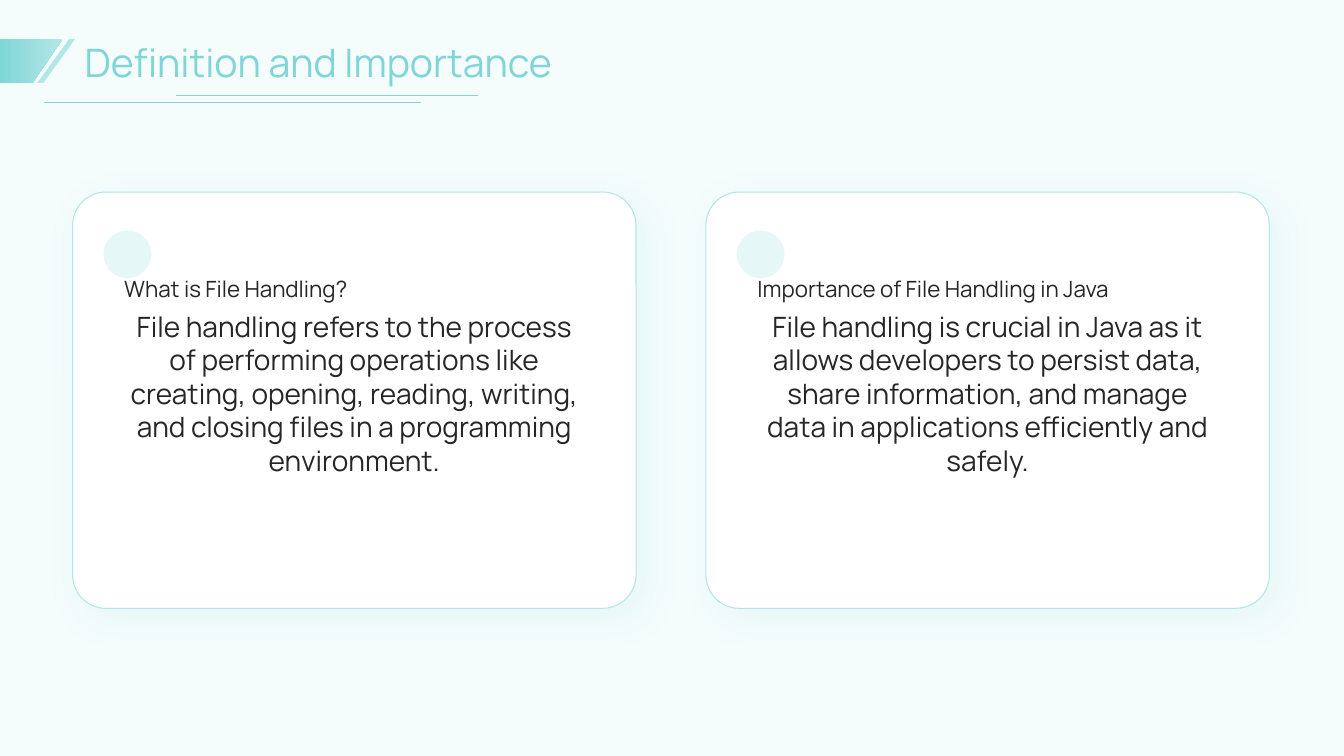
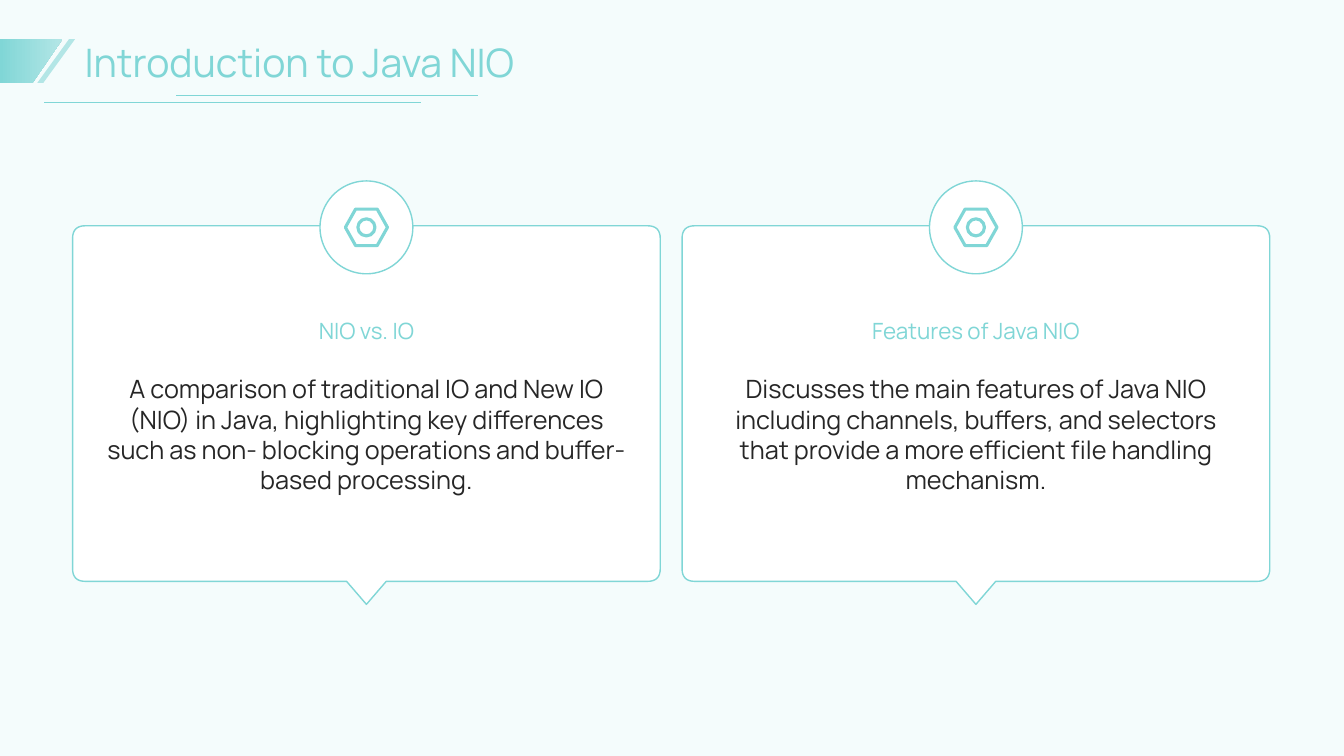
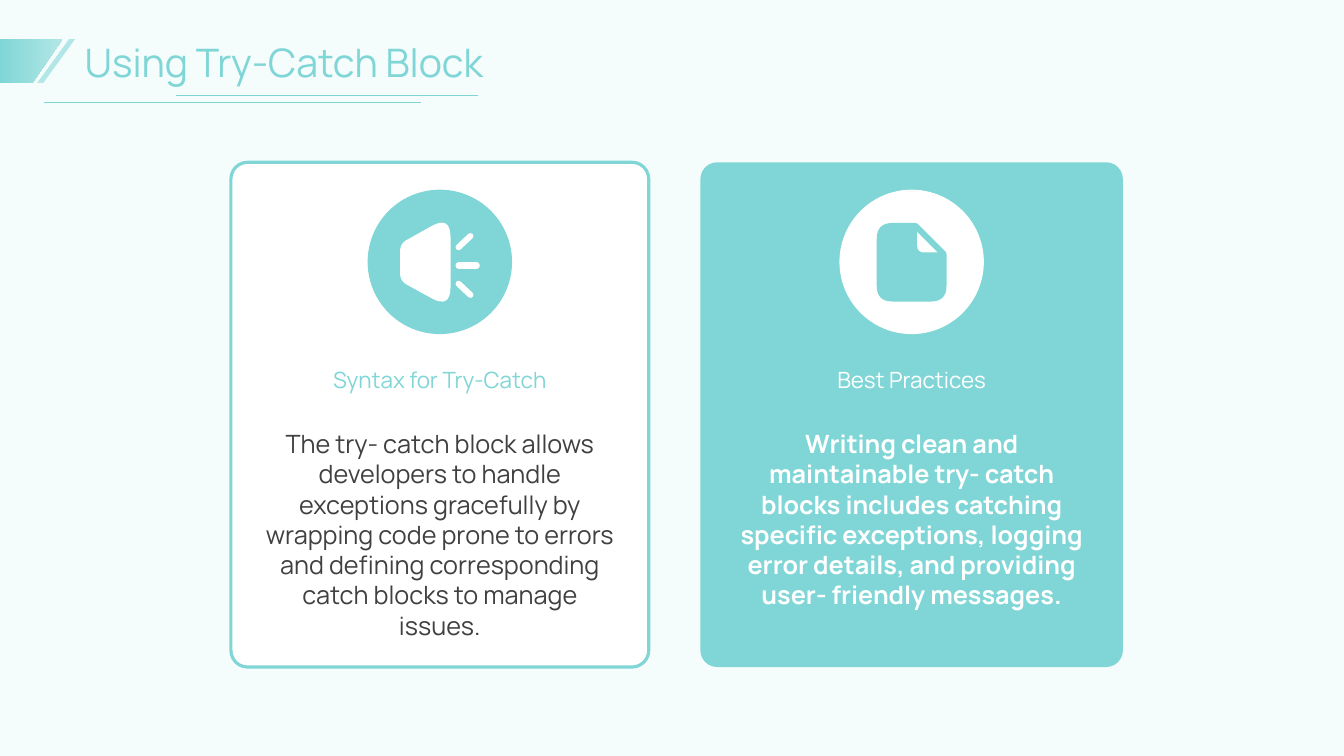
"""Build three slides on Java file handling with a shared title band."""
from lxml.etree import SubElement
from math import hypot
from pptx import Presentation
from pptx.dml.color import RGBColor
from pptx.enum.shapes import MSO_CONNECTOR, MSO_SHAPE
from pptx.enum.text import MSO_ANCHOR, MSO_AUTO_SIZE, PP_ALIGN
from pptx.oxml.ns import qn
from pptx.util import Cm, Pt

FONT = "Manrope"
COLORS = {
    "page": "F4FCFC",
    "mist": "E6F7F7",
    "pale": "B3E6E6",
    "teal": "80D6D6",
    "white": "FFFFFF",
    "ink": "262626",
    "gray": "404040",
}
TITLE_ONLY = 5


def color(key):
    """Return the named colour."""
    return RGBColor.from_string(COLORS[key])


def paint(shape, fill=None, line=None, weight=1):
    """Give a shape its fill and outline, without a shadow."""
    shape.shadow.inherit = False
    if fill:
        shape.fill.solid()
        shape.fill.fore_color.rgb = color(fill)
    else:
        shape.fill.background()
    if line:
        shape.line.color.rgb = color(line)
        shape.line.width = Pt(weight)
    else:
        shape.line.fill.background()
    return shape


def add_preset(slide, kind, box, fill=None, line=None, weight=1, adjust=None):
    """Draw a preset shape in a box of left, top, width and height."""
    shape = slide.shapes.add_shape(kind, *map(Cm, box))
    if adjust is not None:
        shape.adjustments[0] = adjust
    return paint(shape, fill, line, weight)


def add_disc(slide, x, y, diameter, fill=None, line=None, weight=1):
    """Draw a circle around a centre."""
    box = (x - diameter / 2, y - diameter / 2, diameter, diameter)
    return add_preset(slide, MSO_SHAPE.OVAL, box, fill, line, weight)


def toward(start, goal, distance):
    """Return the point at a distance from start on the way to goal."""
    dx, dy = goal[0] - start[0], goal[1] - start[1]
    share = distance / hypot(dx, dy)
    return start[0] + dx * share, start[1] + dy * share


def round_corner(before, corner, after, steps=8):
    """Return the points of a curve that replaces a corner (x, y, radius)."""
    x, y, radius = corner
    if not radius:
        return [(x, y)]
    x0, y0 = toward(corner, before, radius)
    x1, y1 = toward(corner, after, radius)
    curve = []
    for step in range(steps + 1):
        t = step / steps
        a, b, c = (1 - t) ** 2, 2 * t * (1 - t), t ** 2
        curve.append((a * x0 + b * x + c * x1, a * y0 + b * y + c * y1))
    return curve


def add_outline(slide, x, y, corners, fill=None, line=None):
    """Draw a closed outline of (x, y, radius) corners from an origin."""
    points = []
    for i, corner in enumerate(corners):
        after = corners[(i + 1) % len(corners)]
        points += round_corner(corners[i - 1], corner, after)
    places = [(Cm(x + px), Cm(y + py)) for px, py in points]
    builder = slide.shapes.build_freeform(*places[0])
    builder.add_line_segments(places[1:], close=True)
    return paint(builder.convert_to_shape(), fill, line)


def add_rule(slide, start, end, ink, weight):
    """Draw a straight line without a shadow."""
    rule = slide.shapes.add_connector(
        MSO_CONNECTOR.STRAIGHT, *map(Cm, start + end))
    rule.line.color.rgb = color(ink)
    rule.line.width = Pt(weight)
    SubElement(rule.element.spPr, qn("a:effectLst"))
    return rule


def write(shape, text, size, ink, align=PP_ALIGN.CENTER,
          anchor=MSO_ANCHOR.TOP, inset=(0, 0), bold=False):
    """Put one formatted paragraph into a shape."""
    frame = shape.text_frame
    frame.text = text
    frame.word_wrap = True
    frame.auto_size = MSO_AUTO_SIZE.NONE
    frame.vertical_anchor = anchor
    frame.margin_left = frame.margin_right = Cm(inset[0])
    frame.margin_top = frame.margin_bottom = Cm(inset[1])
    paragraph = frame.paragraphs[0]
    paragraph.alignment = align
    paragraph.font.name = FONT
    paragraph.font.size = Pt(size)
    paragraph.font.bold = bold
    paragraph.font.color.rgb = color(ink)


def add_text(slide, box, *args, **kwargs):
    """Write one paragraph in a new text box."""
    write(slide.shapes.add_textbox(*map(Cm, box)), *args, **kwargs)


def add_titled_slide(prs, text):
    """Add a slide with its title, slanted band and two rules."""
    slide = prs.slides.add_slide(prs.slide_layouts[TITLE_ONLY])
    title = slide.shapes.title
    title.left, title.top, title.width, title.height = map(
        Cm, (2.13, 0.91, 29.87, 1.3))
    write(title, text, 28, "teal", PP_ALIGN.LEFT, MSO_ANCHOR.MIDDLE)
    add_preset(slide, MSO_SHAPE.PARALLELOGRAM, (0.94, 0.99, 0.95, 1.1),
               "pale", adjust=0.84)
    band = add_outline(slide, 0, 0.99, [
        (0, 0, 0), (1.57, 0, 0), (0.82, 1.1, 0), (0, 1.1, 0)], "teal")
    band.fill.gradient()
    band.fill.gradient_angle = 0
    for stop, key in zip(band.fill.gradient_stops, ("teal", "pale")):
        stop.color.rgb = color(key)
    add_rule(slide, (1.12, 2.57), (10.6, 2.57), "teal", 0.5)
    add_rule(slide, (4.44, 2.41), (12.04, 2.41), "teal", 0.5)
    return slide


def add_soft_shadow(shape):
    """Cast a wide, faint shadow down and to the right."""
    effects = shape.element.spPr.find(qn("a:effectLst"))
    shadow = SubElement(effects, qn("a:outerShdw"), blurRad=str(Pt(25)),
                        dist=str(Pt(10)), dir="2700000", algn="tl",
                        rotWithShape="0")
    tint = SubElement(shadow, qn("a:srgbClr"), val=COLORS["teal"])
    SubElement(tint, qn("a:alpha"), val="10000")


def add_definition_card(slide, x, y, w, h, heading, body):
    """Draw a shadowed card with a dot, a heading and a body."""
    card = add_preset(slide, MSO_SHAPE.ROUNDED_RECTANGLE, (x, y, w, h),
                      "white", "pale", 0.75, 0.08)
    add_soft_shadow(card)
    add_disc(slide, x + 1.38, y + 1.57, 1.2, "mist")
    text_width = w - 2.6
    add_text(slide, (x + 1.3, y + 1.4, text_width, 1.37), heading, 16, "ink",
             PP_ALIGN.LEFT, MSO_ANCHOR.BOTTOM)
    add_text(slide, (x + 1.3, y + 2.95, text_width, 6.5), body, 20, "ink")


def add_pointer_panel(slide, x, y, w, h, heading, body):
    """Draw a panel with a pointer below and a nut badge on its top edge."""
    middle = w / 2
    add_outline(slide, x, y, [
        (0, 0, 0.32), (w, 0, 0.32), (w, h, 0.32), (middle + 0.5, h, 0),
        (middle, h + 0.58, 0), (middle - 0.5, h, 0), (0, h, 0.32)],
        "white", "teal")
    badge_x, badge_y = x + middle, y + 0.04
    add_disc(slide, badge_x, badge_y, 2.34, "white", "teal")
    add_preset(slide, MSO_SHAPE.HEXAGON,
               (badge_x - 0.53, badge_y - 0.46, 1.06, 0.92),
               line="teal", weight=2.25, adjust=0.28)
    add_disc(slide, badge_x, badge_y, 0.43, line="teal", weight=2.25)
    text_width = w - 1.62
    add_text(slide, (x + 0.81, y + 1.65, text_width, 1.96), heading, 16,
             "teal", anchor=MSO_ANCHOR.MIDDLE)
    add_text(slide, (x + 0.81, y + 3.73, text_width, 4.09), body, 18, "ink")


def draw_speaker(slide, x, y):
    """Draw a white loudspeaker with three sound rays around a centre."""
    add_outline(slide, x, y, [
        (-1, -0.46, 0.19), (0.27, -1.17, 0.55),
        (0.27, 1.18, 0.55), (-1, 0.48, 0.19)], "white")
    for start, end in (((0.47, -0.37), (0.77, -0.65)),
                       ((0.47, 0.09), (0.93, 0.09)),
                       ((0.47, 0.55), (0.77, 0.83))):
        ray = add_rule(slide, (x + start[0], y + start[1]),
                       (x + end[0], y + end[1]), "white", 4.3)
        ray.line._get_or_add_ln().set("cap", "rnd")


def draw_document(slide, x, y):
    """Draw a teal page with a folded corner around a centre."""
    add_outline(slide, x, y, [
        (-0.88, -0.98, 0.4), (0.13, -0.98, 0.05), (0.88, -0.23, 0.05),
        (0.88, 1, 0.4), (-0.88, 1, 0.4)], "teal")
    add_outline(slide, x, y, [
        (0.14, -0.75, 0), (0.65, -0.24, 0), (0.14, -0.24, 0.18)], "white")


def add_icon_card(slide, x, y, w, h, heading, body, draw_icon, filled):
    """Draw a card with an icon disc, a heading and a body."""
    back, front = ("teal", "white") if filled else ("white", "teal")
    add_preset(slide, MSO_SHAPE.ROUNDED_RECTANGLE, (x, y, w, h), back,
               None if filled else "teal", 2.25, 0.04)
    disc_x, disc_y = x + w / 2, y + 2.51
    add_disc(slide, disc_x, disc_y, 3.64, front)
    draw_icon(slide, disc_x, disc_y)
    inset = (0.25, 0.13)
    text_width = w - 0.92
    add_text(slide, (x + 0.46, y + 4.98, text_width, 0.97), heading, 16,
             front, anchor=MSO_ANCHOR.MIDDLE, inset=inset)
    add_text(slide, (x + 0.46, y + 6.58, text_width, 5.77), body, 18,
             "white" if filled else "gray", inset=inset, bold=filled)


def build_definition(prs):
    """Build the slide on definition and importance."""
    slide = add_titled_slide(prs, "Definition and Importance")
    cards = (
        ("What is File Handling?",
         "File handling refers to the process of performing operations like "
         "creating, opening, reading, writing, and closing files in a "
         "programming environment."),
        ("Importance of File Handling in Java",
         "File handling is crucial in Java as it allows developers to persist "
         "data, share information, and manage data in applications "
         "efficiently and safely."),
    )
    for i, (heading, body) in enumerate(cards):
        add_definition_card(slide, 1.83 + i * 15.96, 4.84, 14.2, 10.49,
                            heading, body)


def build_nio(prs):
    """Build the slide that introduces NIO."""
    slide = add_titled_slide(prs, "Introduction to Java NIO")
    panels = (
        ("NIO vs. IO",
         "A comparison of traditional IO and New IO (NIO) in Java, "
         "highlighting key differences such as non- blocking operations and "
         "buffer- based processing."),
        ("Features of Java NIO",
         "Discusses the main features of Java NIO including channels, "
         "buffers, and selectors that provide a more efficient file handling "
         "mechanism."),
    )
    for i, (heading, body) in enumerate(panels):
        add_pointer_panel(slide, 1.83 + i * 15.36, 5.69, 14.81, 8.96,
                          heading, body)


def build_try_catch(prs):
    """Build the slide on try-catch blocks."""
    slide = add_titled_slide(prs, "Using Try-Catch Block")
    add_icon_card(
        slide, 5.82, 4.09, 10.53, 12.72, "Syntax for Try-Catch",
        "The try- catch block allows developers to handle exceptions "
        "gracefully by wrapping code prone to errors and defining "
        "corresponding catch blocks to manage issues.",
        draw_speaker, False)
    add_icon_card(
        slide, 17.65, 4.09, 10.65, 12.72, "Best Practices",
        "Writing clean and maintainable try- catch blocks includes catching "
        "specific exceptions, logging error details, and providing user- "
        "friendly messages.",
        draw_document, True)


def main():
    """Build and save the presentation."""
    prs = Presentation()
    prs.slide_width, prs.slide_height = Cm(33.87), Cm(19.05)
    page = prs.slide_master.background.fill
    page.solid()
    page.fore_color.rgb = color("page")
    build_definition(prs)
    build_nio(prs)
    build_try_catch(prs)
    prs.save("out.pptx")


if __name__ == "__main__":
    main()
